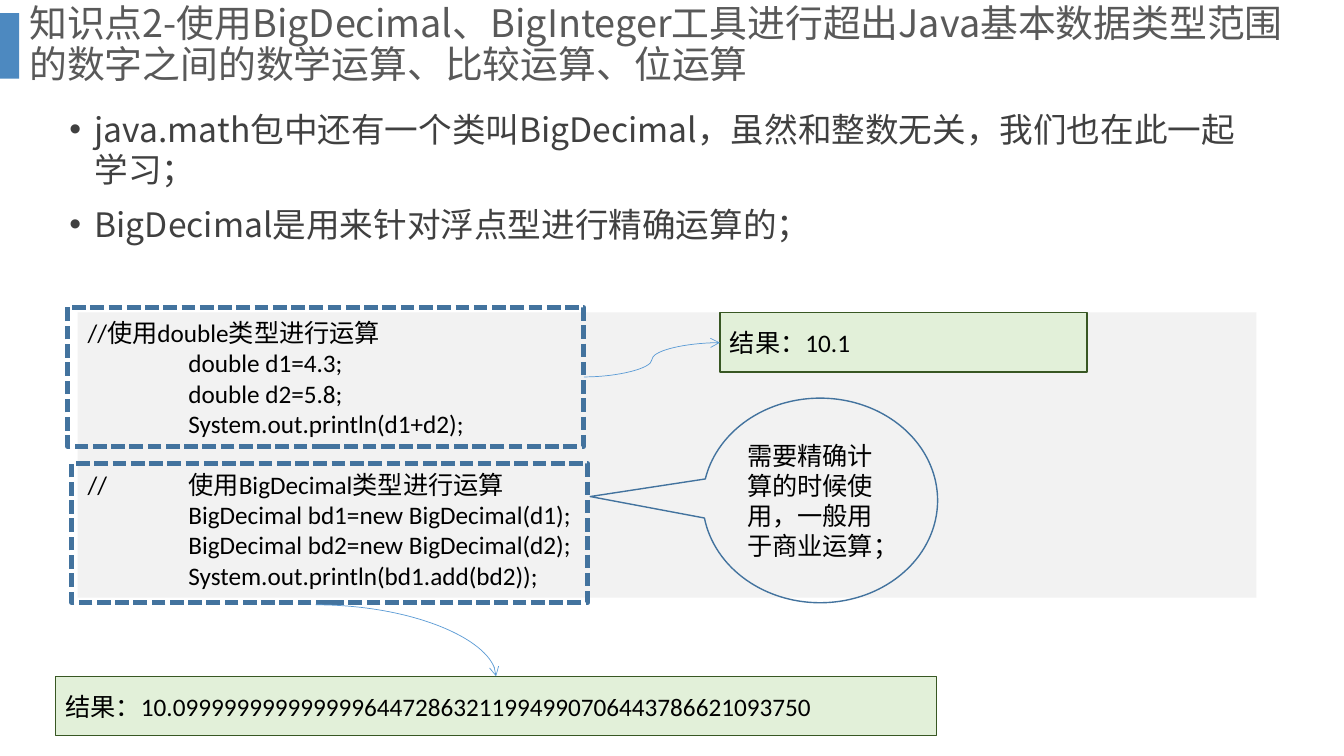
from lxml import etree
from pptx import Presentation
from pptx.dml.color import RGBColor
from pptx.enum import dml, shapes, text
from pptx.oxml.ns import qn
from pptx.util import Inches, Pt

CJK = "Noto Sans CJK SC"
LATIN = "Calibri"
BLACK = "000000"
BLUE = "43739E"


def rgb(value):
    return RGBColor.from_string(value)


def add_run(p, content, size, font, color):
    r = p.add_run()
    r.text = content
    r.font.size = Pt(size)
    r.font.name = font
    r.font.color.rgb = rgb(color)
    ea = etree.SubElement(r.font._element, qn("a:ea"))
    ea.set("typeface", CJK)


def add_box(s, box, kind=shapes.MSO_SHAPE.RECTANGLE, fill=None, line=None, width=1):
    sp = s.shapes.add_shape(kind, *map(Inches, box))
    sp.shadow.inherit = False
    if fill:
        sp.fill.solid()
        sp.fill.fore_color.rgb = rgb(fill)
    else:
        sp.fill.background()
    if line:
        sp.line.color.rgb = rgb(line)
        sp.line.width = Pt(width)
    else:
        sp.line.fill.background()
    return sp


def write_lines(sp, lines, anchor=text.MSO_ANCHOR.MIDDLE):
    tf = sp.text_frame
    tf.word_wrap = True
    tf.vertical_anchor = anchor
    for i, line in enumerate(lines):
        p = tf.add_paragraph() if i else tf.paragraphs[0]
        p.alignment = text.PP_ALIGN.LEFT
        p._p.get_or_add_pPr().set("defTabSz", str(Inches(1)))
        add_run(p, line, 18, LATIN, BLACK)
    return tf


def add_title(s, box, content):
    bar = add_box(s, (0, 0.13, 0.19, 0.65), fill="2E75B6")
    color = bar.fill._xPr.find(".//" + qn("a:srgbClr"))
    etree.SubElement(color, qn("a:alpha")).set("val", "85000")
    title = s.shapes.title
    title.left, title.top, title.width, title.height = map(Inches, box)
    tf = title.text_frame
    tf.word_wrap = True
    tf.auto_size = text.MSO_AUTO_SIZE.NONE
    tf.vertical_anchor = text.MSO_ANCHOR.MIDDLE
    tf.margin_bottom = Inches(0.09)
    p = tf.paragraphs[0]
    p.alignment = text.PP_ALIGN.LEFT
    p.line_spacing = Pt(29.3)
    add_run(p, content, 27, CJK, "595959")


def add_bullets(s, box, items):
    tf = s.shapes.add_textbox(*map(Inches, box)).text_frame
    tf.word_wrap = True
    for i, item in enumerate(items):
        p = tf.add_paragraph() if i else tf.paragraphs[0]
        p.space_before = Pt(10)
        p.line_spacing = Pt(28.8)
        add_run(p, item, 24, CJK, "404040")
        pPr = p._p.get_or_add_pPr()
        pPr.set("marL", str(Inches(0.25)))
        pPr.set("indent", str(-Inches(0.25)))
        etree.SubElement(pPr, qn("a:buFont")).set("typeface", "Arial")
        etree.SubElement(pPr, qn("a:buChar")).set("char", "•")


def add_code(s, box, double_lines, decimal_lines):
    left, top, _, _ = box
    panel = add_box(s, box, fill="F2F2F2")
    tf = write_lines(panel, double_lines + decimal_lines, text.MSO_ANCHOR.TOP)
    tf.paragraphs[len(double_lines)].space_before = Pt(22)
    for dx, dy in ((-0.06, 1.5), (-0.1, -0.05)):
        frame = add_box(s, (left + dx, top + dy, 5.12, 1.38), line=BLUE, width=3.25)
        frame.line.dash_style = dml.MSO_LINE.SQUARE_DOT


def add_result(s, box, value):
    sp = add_box(s, box, fill="E2F0D9", line="385723")
    write_lines(sp, ["结果：" + value])


def add_arrow(s, start, end, preset):
    c = s.shapes.add_connector(shapes.MSO_CONNECTOR.CURVE, *map(Inches, start + end))
    c.line.color.rgb = rgb("5B9BD5")
    c.line.width = Pt(0.5)
    spPr = c._element.spPr
    spPr.find(qn("a:prstGeom")).set("prst", preset)
    etree.SubElement(spPr.find(qn("a:ln")), qn("a:tailEnd")).set("type", "arrow")
    etree.SubElement(spPr, qn("a:effectLst"))


def add_callout(s, box, content):
    sp = add_box(s, box, shapes.MSO_SHAPE.OVAL_CALLOUT, line=BLUE)
    sp.adjustments[0] = -0.979
    sp.adjustments[1] = -0.019
    write_lines(sp, [content])


def main():
    prs = Presentation()
    prs.slide_width, prs.slide_height = Inches(13.33), Inches(7.5)
    s = prs.slides.add_slide(prs.slide_layouts[5])
    add_title(s, (0.19, 0, 12.66, 0.93),
              "知识点2-使用BigDecimal、BigInteger工具进行超出Java基本数据类型"
              "范围的数字之间的数学运算、比较运算、位运算")
    add_bullets(s, (0.59, 1.03, 12.05, 1.92), [
        "java.math包中还有一个类叫BigDecimal，虽然和整数无关，我们也在此一起学习；",
        "BigDecimal是用来针对浮点型进行精确运算的；",
    ])
    add_code(s, (0.77, 3.1, 11.69, 2.83), [
        "//使用double类型进行运算",
        "\tdouble d1=4.3;",
        "\tdouble d2=5.8;",
        "\tSystem.out.println(d1+d2);",
    ], [
        "//\t使用BigDecimal类型进行运算",
        "\tBigDecimal bd1=new BigDecimal(d1);",
        "\tBigDecimal bd2=new BigDecimal(d2);",
        "\tSystem.out.println(bd1.add(bd2));",
    ])
    add_result(s, (7.14, 3.1, 3.64, 0.59), "10.1")
    add_result(s, (0.55, 6.71, 8.74, 0.59),
               "10.09999999999999964472863211994990706443786621093750")
    add_arrow(s, (5.79, 3.74), (7.14, 3.4), "curvedConnector3")
    add_arrow(s, (3.13, 6), (4.92, 6.71), "curvedConnector2")
    add_callout(s, (6.97, 3.95, 2.33, 2.03), "需要精确计算的时候使用，一般用于商业运算；")
    prs.save("out.pptx")


if __name__ == "__main__":
    main()
